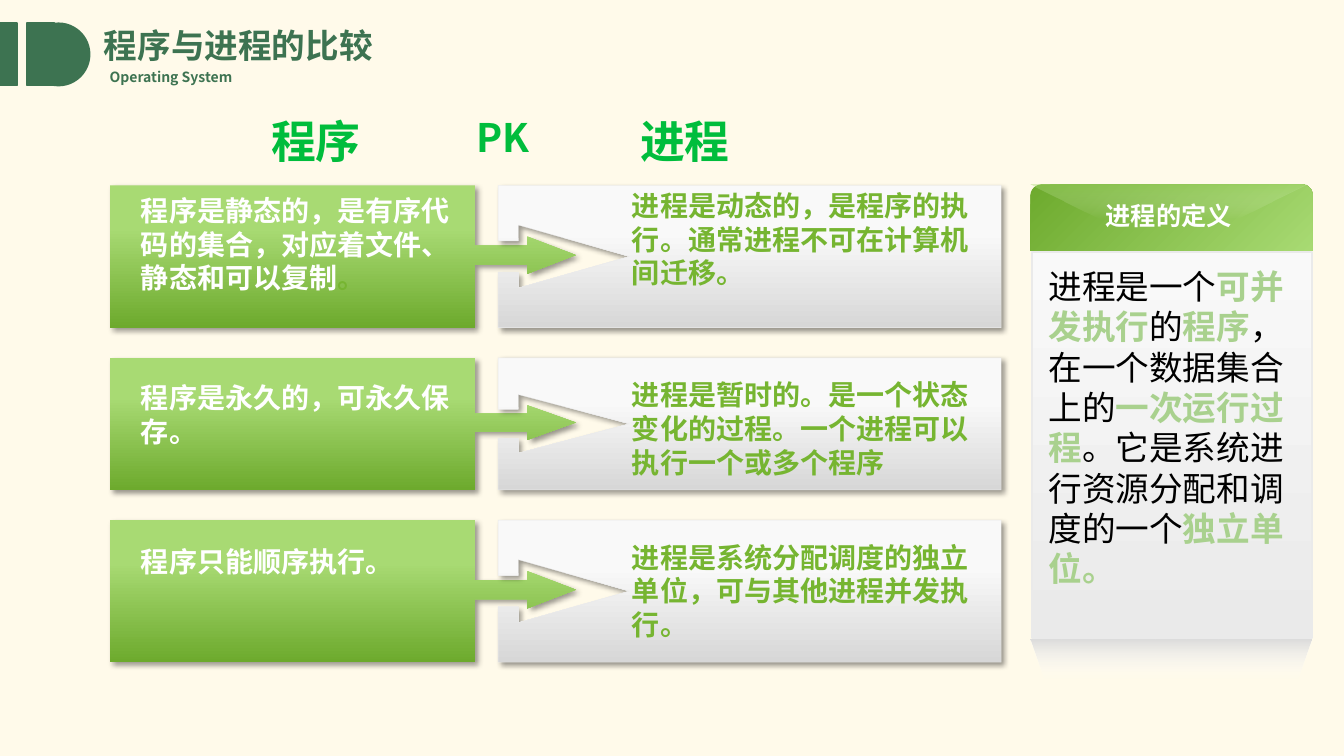
import dataclasses

import lxml.etree
import pptx
import pptx.dml.color
import pptx.enum.shapes
import pptx.enum.text
import pptx.oxml.ns
import pptx.util

Inches = pptx.util.Inches
Pt = pptx.util.Pt
SHAPE = pptx.enum.shapes.MSO_SHAPE
ALIGN = pptx.enum.text.PP_ALIGN
ANCHOR = pptx.enum.text.MSO_ANCHOR
FIT = pptx.enum.text.MSO_AUTO_SIZE
qn = pptx.oxml.ns.qn


@dataclasses.dataclass(frozen=True)
class Theme:
    """Colours, font and type sizes of the slide."""
    font: str = "Noto Sans CJK SC"
    cream: str = "FFFAEA"
    pine: str = "3D7351"
    vivid: str = "00BD3C"
    leaf: str = "76B531"
    soft: str = "A9D18E"
    white: str = "FFFFFF"
    black: str = "000000"
    light: str = "A8DA73"
    dark: str = "6DAA2D"
    pale: str = "F9F9F9"
    mist: str = "EAEAEA"
    grey: str = "D7D7D7"
    ash: str = "DDDDDD"
    tiny: int = 10
    small: int = 18
    body: int = 20
    large: int = 24
    mid: int = 28
    huge: int = 32


T = Theme()
ROWS = [
    (1.41, 0.03, [("程序是静态的，是有序代码的集合，对应着文件、静态和可以复制", T.white, True), ("。", T.leaf, True)], 1.11,
     -0.02, "进程是动态的，是程序的执行。通常进程不可在计算机间迁移。", 1.45),
    (1.31, 0.18, "程序是永久的，可永久保存。", 0.77,
     0.15, "进程是暂时的。是一个状态变化的过程。一个进程可以执行一个或多个程序", 1.11),
    (1.41, 0.19, "程序只能顺序执行。", 0.44,
     0.15, "进程是系统分配调度的独立单位，可与其他进程并发执行。", 1.11),
]
MEANING = [
    ("进程是一个", T.black, False), ("可并发执行", T.soft, True), ("的", T.black, False),
    ("程序", T.soft, True), ("，在一个数据集合上的", T.black, False),
    ("一次运行过程", T.soft, True), ("。它是系统进行资源分配和调度的一个", T.black, False),
    ("独立单位。", T.soft, True),
]


def rgb(code):
    """Turn a hex code into a colour."""
    return pptx.dml.color.RGBColor.from_string(code)


def write(frame, text, size, color=T.white, bold=True, align=ALIGN.LEFT, wrap=True, fit=FIT.SHAPE_TO_FIT_TEXT):
    """Fill a text frame with a string or a list of (text, colour, bold)."""
    frame.word_wrap = wrap
    frame.auto_size = fit
    para = frame.paragraphs[0]
    para.alignment = align
    spans = [(text, color, bold)] if isinstance(text, str) else text
    for words, tint, heavy in spans:
        run = para.add_run()
        run.text = words
        run.font.name = T.font
        run.font.size = Pt(size)
        run.font.bold = heavy
        run.font.color.rgb = rgb(tint)
        east = lxml.etree.SubElement(run.font._element, qn("a:ea"))
        east.set("typeface", T.font)
    return para


def label(slide, box, text, size, **style):
    """Add a text box at the given box."""
    frame = slide.shapes.add_textbox(*map(Inches, box)).text_frame
    write(frame, text, size, **style)


def paint(shape, fill, angle=90, line=None, width=1, shadow=False):
    """Format a shape; fill is a colour or two (position, colour, alpha) stops."""
    if isinstance(fill, str):
        shape.fill.solid()
        shape.fill.fore_color.rgb = rgb(fill)
    else:
        shape.fill.gradient()
        shape.fill.gradient_angle = 360 - angle
        for stop, (place, color, alpha) in zip(shape.fill.gradient_stops, fill):
            stop.position = place / 100
            stop.color.rgb = rgb(color)
        tints = shape._element.spPr.iter(qn("a:srgbClr"))
        for tint, (place, color, alpha) in zip(list(tints), fill):
            if alpha < 100:
                lxml.etree.SubElement(tint, qn("a:alpha")).set("val", str(alpha * 1000))
    if line:
        shape.line.color.rgb = rgb(line)
        shape.line.width = Pt(width)
    else:
        shape.line.fill.background()
    shape.shadow.inherit = False
    if shadow:
        effect = shape._element.spPr.find(qn("a:effectLst"))
        outer = lxml.etree.SubElement(effect, qn("a:outerShdw"), blurRad=str(Pt(4)), dist=str(Pt(3)),
                                      dir="2700000", algn="tl", rotWithShape="0")
        tint = lxml.etree.SubElement(outer, qn("a:srgbClr"), val=T.black)
        lxml.etree.SubElement(tint, qn("a:alpha"), val="40000")


def block(slide, kind, box, fill, **style):
    """Add a preset shape."""
    paint(slide.shapes.add_shape(kind, *map(Inches, box)), fill, **style)


def outline(slide, points, fill, **style):
    """Add a closed freeform through points in inches."""
    dots = [(Inches(x), Inches(y)) for x, y in points]
    build = slide.shapes.build_freeform(*dots[0], scale=1.0)
    build.add_line_segments(dots[1:], close=True)
    paint(build.convert_to_shape(), fill, **style)


def header(slide, box):
    """Draw the emblem, title and subtitle."""
    x, y, wide, tall = box
    for kind, left, width in ((SHAPE.RECTANGLE, 0, 0.17), (SHAPE.RECTANGLE, 0.27, 0.27), (SHAPE.OVAL, 0.27, tall)):
        block(slide, kind, (x + left, y, width, tall), T.pine, line=T.pine)
    label(slide, (x + 0.99, y + 0.4, 1.47, 0.27), "Operating System", T.tiny, color=T.pine, wrap=False)
    title = slide.shapes.title
    title.left, title.top, title.width, title.height = map(Inches, (x + 0.93, y - 0.01, wide - 0.93, 0.5))
    title.text_frame.vertical_anchor = ANCHOR.MIDDLE
    para = write(title.text_frame, "程序与进程的比较", T.large, color=T.pine, fit=FIT.NONE)
    para.line_spacing = 0.9


def heads(slide, box):
    """Name the two columns that are compared."""
    x, y, wide, tall = box
    for left, text, size, high in ((3.66, "进程", T.huge, tall), (0, "程序", T.huge, tall), (2.04, "PK", T.mid, 0.57)):
        label(slide, (x + left, y, 1.18, high), text, size, color=T.vivid)


def versus(slide, box, row):
    """Draw a green card whose arrow points into a notched grey card."""
    x, y, wide, tall = box
    _, drop, left, high, shift, right, deep = row
    edge, neck, tip = x + 3.62, x + 4.14, x + 4.62
    mid, half, wing = y + tall * 0.49, tall * 0.067, tall * 0.131
    outline(slide, [(x, y), (edge, y), (edge, mid - half), (neck, mid - half), (neck, mid - wing), (tip, mid),
                    (neck, mid + wing), (neck, mid + half), (edge, mid + half), (edge, y + tall), (x, y + tall)],
            [(30, T.light, 100), (100, T.dark, 100)], shadow=True)
    start, end = x + 3.85, x + wide
    neck, tip = start + 0.2, start + 1.3
    mid, half, wing = y + tall / 2, tall * 0.11, tall * 0.222
    outline(slide, [(start, y), (end, y), (end, y + tall), (start, y + tall), (start, mid + half),
                    (neck, mid + half), (neck, mid + wing), (tip, mid), (neck, mid - wing),
                    (neck, mid - half), (start, mid - half)],
            [(33, T.pale, 100), (100, T.grey, 100)], line=T.mist, width=0.25, shadow=True)
    label(slide, (x + 0.21, y + drop, 3.28, high), left, T.body)
    label(slide, (x + 5.08, y + shift, 3.76, deep), right, T.body, color=T.leaf)


def meaning(slide, box):
    """Draw the panel that defines a process."""
    x, y, wide, tall = box
    block(slide, SHAPE.ROUND_2_SAME_RECTANGLE, (x, y, wide, 0.66),
          [(0, T.dark, 100), (100, T.light, 100)], angle=45)
    outline(slide, [(x, y), (x + 0.69, y + 0.34), (x + 2.05, y + 0.34), (x + 2.74, y)],
            [(0, T.light, 40), (100, T.white, 0)])
    label(slide, (x + 0.63, y + 0.11, 1.54, 0.4), "进程的定义 ", T.small, align=ALIGN.CENTER, wrap=False)
    block(slide, SHAPE.RECTANGLE, (x + 0.02, y + 0.67, wide - 0.03, 3.83),
          [(0, T.pale, 100), (100, T.mist, 100)], line=T.mist, width=1.5)
    base, foot = y + 4.51, y + tall
    outline(slide, [(x, base), (x + 0.14, foot), (x + 2.65, foot), (x + 2.79, base)],
            [(0, T.ash, 100), (100, T.white, 0)])
    label(slide, (x + 0.08, y + 0.76, 2.68, 3.33), MEANING, T.large)


def main():
    """Build and save the slide."""
    deck = pptx.Presentation()
    deck.slide_width, deck.slide_height = Inches(13.33), Inches(7.5)
    slide = deck.slides.add_slide(deck.slide_layouts[5])
    slide.background.fill.solid()
    slide.background.fill.fore_color.rgb = rgb(T.cream)
    header(slide, (0, 0.23, 5.27, 0.62))
    top = 1.84
    for row in ROWS:
        versus(slide, (1.09, top, 8.84, row[0]), row)
        top += row[0] + 0.3
    heads(slide, (2.59, 1.08, 4.84, 0.64))
    meaning(slide, (10.22, 1.83, 2.8, 4.9))
    deck.save("out.pptx")


if __name__ == "__main__":
    main()
